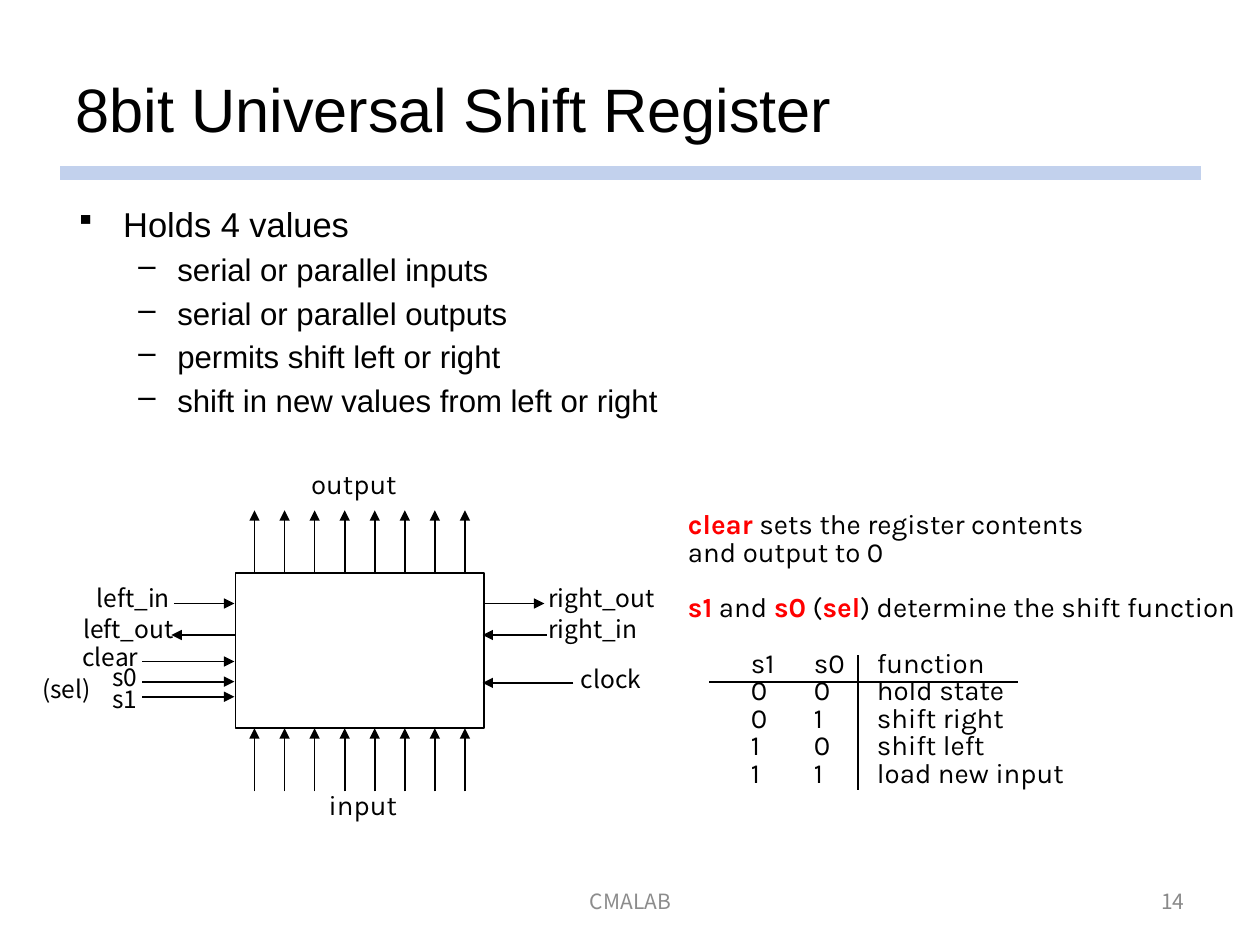
from dataclasses import dataclass

from lxml import etree
from pptx import Presentation
from pptx.dml.color import RGBColor
from pptx.enum.shapes import MSO_CONNECTOR, MSO_SHAPE
from pptx.enum.text import MSO_ANCHOR, PP_ALIGN
from pptx.oxml.ns import qn
from pptx.util import Inches, Pt

STRAIGHT = MSO_CONNECTOR.STRAIGHT
RECTANGLE = MSO_SHAPE.RECTANGLE
TOP, MIDDLE = MSO_ANCHOR.TOP, MSO_ANCHOR.MIDDLE
LEFT, CENTER, RIGHT = PP_ALIGN.LEFT, PP_ALIGN.CENTER, PP_ALIGN.RIGHT


@dataclass(frozen=True)
class Theme:
    black: str = "000000"
    white: str = "FFFFFF"
    red: str = "FF0000"
    rule: str = "C2D1ED"
    footer: str = "8C8C8C"
    page_number: str = "898989"
    heading_font: str = "Arial"
    note_font: str = "Karla"
    label_font: str = "Noto Sans CJK KR"
    title_size: float = 35
    topic_size: float = 19.7
    point_size: float = 17.8
    note_size: float = 15.8
    label_size: float = 14
    footer_size: float = 12
    label_spacing: float = 13.7
    point_gap: float = 3.6


THEME = Theme()


@dataclass(frozen=True)
class Label:
    text: str
    left: float
    top: float
    width: float
    align: PP_ALIGN = LEFT
    font: str = THEME.label_font
    size: float = THEME.label_size


@dataclass(frozen=True)
class Signal:
    start: float
    end: float
    y: float


@dataclass(frozen=True)
class Point:
    text: str
    size: float
    bullet: str
    bullet_percent: int
    level: int
    margin: float
    hanging: float


LABELS = [
    Label("right_out", 4.33, 4.64, 1.2),
    Label("right_in", 4.33, 4.89, 1.1),
    Label("clock", 4.59, 5.28, 0.75),
    Label("left_in", 0.4, 4.64, 0.97, RIGHT),
    Label("left_out", 0.3, 4.89, 1.1, RIGHT),
    Label("clear", 0.37, 5.11, 0.75, RIGHT),
    Label("s0", 0.45, 5.27, 0.66, RIGHT),
    Label("s1", 0.45, 5.44, 0.66, RIGHT),
    Label("(sel)", -0.01, 5.36, 0.75, RIGHT),
    Label("output", 2.31, 3.75, 1, CENTER, THEME.note_font, THEME.note_size),
    Label("input", 2.44, 6.3, 0.88, CENTER, THEME.note_font, THEME.note_size),
]
SIGNALS = [
    Signal(1.38, 1.86, 4.79),
    Signal(1.87, 1.36, 5.04),
    Signal(1.13, 1.86, 5.25),
    Signal(1.13, 1.86, 5.41),
    Signal(1.13, 1.86, 5.53),
    Signal(3.84, 4.32, 4.79),
    Signal(4.34, 3.83, 5.04),
    Signal(4.55, 3.83, 5.42),
]
POINTS = [Point("Holds 4 values", THEME.topic_size, "▪", 80, 0, 0.38, 0.38)] + [
    Point(text, THEME.point_size, "–", 100, 1, 0.81, 0.31)
    for text in (
        "serial or parallel inputs",
        "serial or parallel outputs",
        "permits shift left or right",
        "shift in new values from left or right",
    )
]
EXPLANATIONS = [
    [("clear", True), (" sets the register contents", False)],
    [("and output to 0", False)],
    [("s1", True), (" and ", False), ("s0", True), (" (", False),
     ("sel", True), (") determine the shift function", False)],
]
FUNCTION_ROWS = [
    ("s1", "s0", "function"),
    ("0", "0", "hold state"),
    ("0", "1", "shift right"),
    ("1", "0", "shift left"),
    ("1", "1", "load new input"),
]
BIT_COUNT, FIRST_BIT, LAST_BIT = 8, 2.02, 3.69


def write(paragraph, text: str, *, font: str, size: float, color: str = THEME.black,
          bold: bool = False, align: PP_ALIGN = LEFT, spacing: float | None = None) -> None:
    paragraph.alignment = align
    if spacing:
        paragraph.line_spacing = Pt(spacing)
    run = paragraph.add_run()
    run.text = text
    run.font.name = font
    run.font.size = Pt(size)
    run.font.bold = bold
    run.font.color.rgb = RGBColor.from_string(color)


def add_frame(slide, left: float, top: float, width: float, height: float, *,
              wrap: bool = True, anchor: MSO_ANCHOR = TOP,
              insets: tuple[float, float] = (0.1, 0.05)):
    frame = slide.shapes.add_textbox(
        Inches(left), Inches(top), Inches(width), Inches(height)).text_frame
    frame.word_wrap = wrap
    frame.vertical_anchor = anchor
    frame.margin_left = frame.margin_right = Inches(insets[0])
    frame.margin_top = frame.margin_bottom = Inches(insets[1])
    return frame


def next_paragraph(frame, index: int):
    return frame.add_paragraph() if index else frame.paragraphs[0]


def add_line(slide, start: tuple[float, float], end: tuple[float, float], *,
             color: str = THEME.black, width: float = 1, arrow: bool = False) -> None:
    line = slide.shapes.add_connector(STRAIGHT, *map(Inches, start + end))
    line.line.color.rgb = RGBColor.from_string(color)
    line.line.width = Pt(width)
    properties = line._element.spPr
    if arrow:
        etree.SubElement(properties.find(qn("a:ln")), qn("a:tailEnd"), type="triangle")
    etree.SubElement(properties, qn("a:effectLst"))


def add_points(slide) -> None:
    frame = add_frame(slide, 0.5, 1.56, 9, 1.88)
    for index, point in enumerate(POINTS):
        paragraph = next_paragraph(frame, index)
        paragraph.level = point.level
        properties = paragraph._p.get_or_add_pPr()
        properties.set("marL", str(Inches(point.margin)))
        properties.set("indent", str(-Inches(point.hanging)))
        etree.SubElement(properties, qn("a:buSzPct"), val=str(point.bullet_percent * 1000))
        etree.SubElement(properties, qn("a:buChar"), char=point.bullet)
        if index:
            paragraph.space_before = Pt(THEME.point_gap)
        write(paragraph, point.text, font=THEME.heading_font, size=point.size)


def add_explanations(slide) -> None:
    frame = add_frame(slide, 5.44, 3.8, 4.5, 2.5, insets=(0.02, 0.03))
    frame.margin_top = Inches(0.27)
    table = [[("\t" + "\t".join(row), False)] for row in FUNCTION_ROWS]
    group_starts = (2, len(EXPLANATIONS))
    for index, pieces in enumerate(EXPLANATIONS + table):
        paragraph = next_paragraph(frame, index)
        if index >= len(EXPLANATIONS):
            tabs = etree.SubElement(paragraph._p.get_or_add_pPr(), qn("a:tabLst"))
            for stop in (0.5, 1, 1.5):
                etree.SubElement(tabs, qn("a:tab"), pos=str(Inches(stop)), algn="l")
        if index in group_starts:
            paragraph.space_before = Pt(THEME.note_size)
        for text, key in pieces:
            write(paragraph, text, font=THEME.note_font, size=THEME.note_size, bold=key,
                  color=THEME.red if key else THEME.black, spacing=THEME.note_size)
    add_line(slide, (5.63, 5.41), (8.08, 5.41))
    add_line(slide, (6.81, 5.2), (6.81, 6.27))


def add_register(slide) -> None:
    register = slide.shapes.add_shape(
        RECTANGLE, Inches(1.87), Inches(4.55), Inches(1.97), Inches(1.23))
    register.shadow.inherit = False
    register.fill.solid()
    register.fill.fore_color.rgb = RGBColor.from_string(THEME.white)
    register.line.color.rgb = RGBColor.from_string(THEME.black)
    register.line.width = Pt(1)
    pitch = (LAST_BIT - FIRST_BIT) / (BIT_COUNT - 1)
    for bit in range(BIT_COUNT):
        x = FIRST_BIT + bit * pitch
        add_line(slide, (x, 4.55), (x, 4.05), arrow=True)
        add_line(slide, (x, 6.28), (x, 5.78), arrow=True)
    for signal in SIGNALS:
        add_line(slide, (signal.start, signal.y), (signal.end, signal.y), arrow=True)
    for label in LABELS:
        frame = add_frame(slide, label.left, label.top, label.width, 0.33,
                          wrap=False, insets=(0.02, 0.03))
        write(frame.paragraphs[0], label.text, font=label.font, size=label.size,
              align=label.align, spacing=THEME.label_spacing)


def main() -> None:
    deck = Presentation()
    deck.slide_width, deck.slide_height = Inches(10), Inches(7.5)
    slide = deck.slides.add_slide(deck.slide_layouts[5])
    add_line(slide, (0.48, 1.37), (9.53, 1.37), color=THEME.rule, width=8)
    title = slide.shapes.title
    title.left, title.top, title.width, title.height = map(Inches, (0.5, 0.3, 9, 1.11))
    title.text_frame.vertical_anchor = MIDDLE
    write(title.text_frame.paragraphs[0], "8bit Universal Shift Register",
          font=THEME.heading_font, size=THEME.title_size)
    add_points(slide)
    add_explanations(slide)
    add_register(slide)
    for text, left, width, align, color in (
        ("CMALAB", 3.42, 3.17, CENTER, THEME.footer),
        ("14", 7.17, 2.33, RIGHT, THEME.page_number),
    ):
        frame = add_frame(slide, left, 6.95, width, 0.4, anchor=MIDDLE)
        write(frame.paragraphs[0], text, font=THEME.label_font, size=THEME.footer_size,
              color=color, align=align)
    deck.save("out.pptx")


if __name__ == "__main__":
    main()
